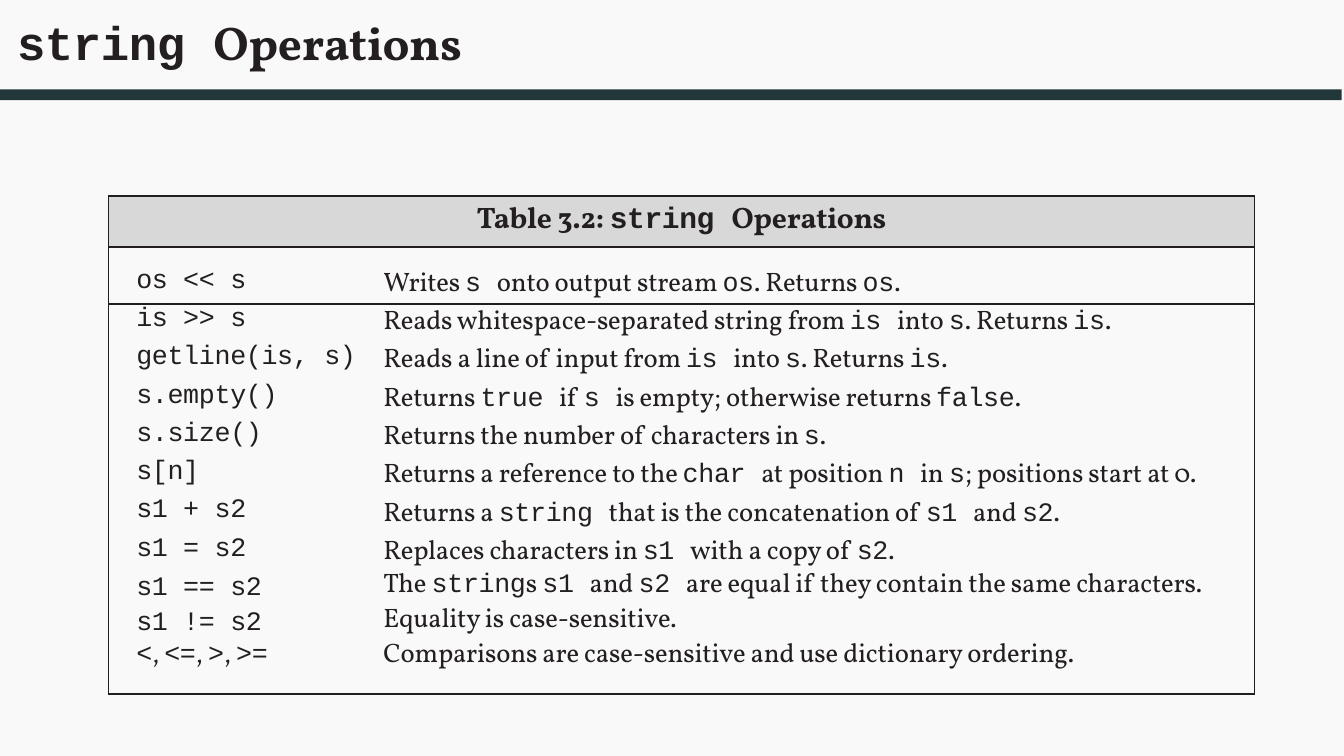
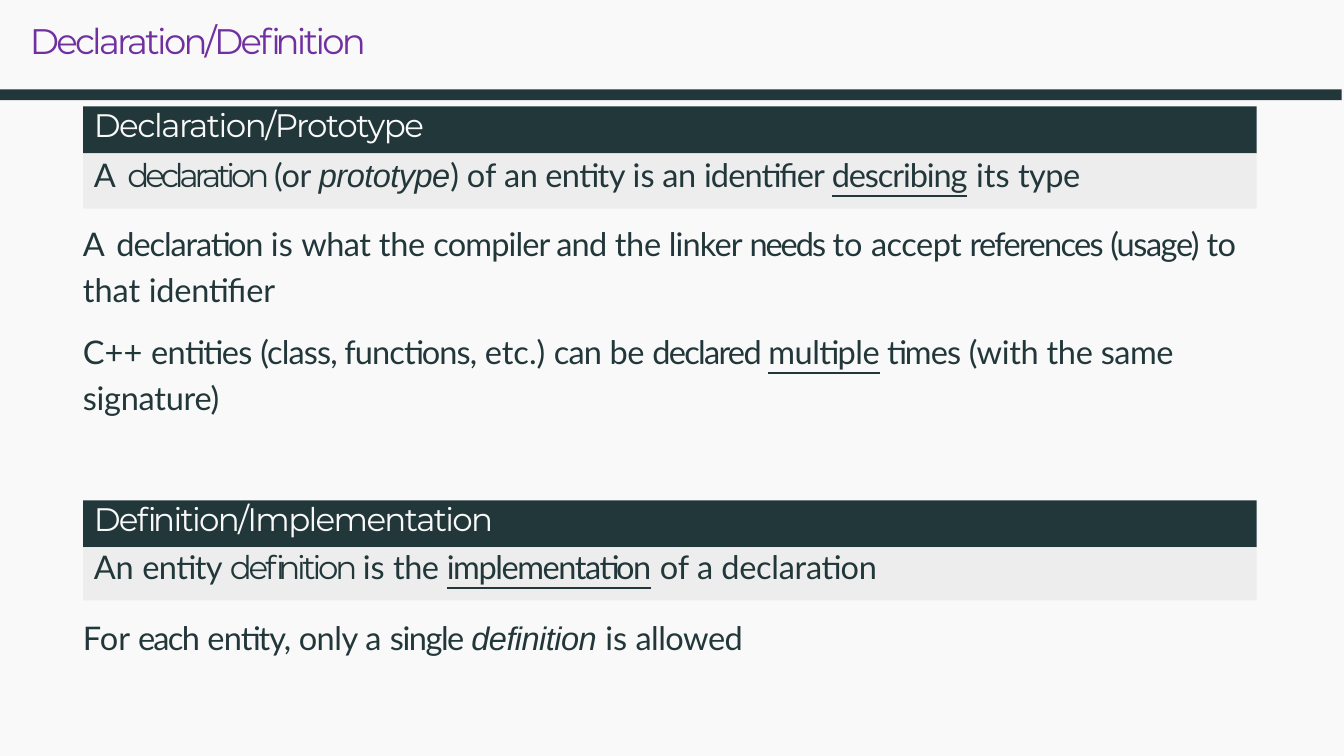
from lxml.etree import SubElement
from pptx import Presentation
from pptx.dml.color import RGBColor
from pptx.enum.shapes import MSO_SHAPE as Shape
from pptx.enum.text import MSO_ANCHOR as Anchor, MSO_AUTO_SIZE as Fit, PP_ALIGN as Align
from pptx.oxml.ns import qn
from pptx.util import Inches, Pt

PAPER = RGBColor(0xF9, 0xF9, 0xF9)
DARK = RGBColor(0x22, 0x37, 0x3A)
PALE = RGBColor(0xED, 0xED, 0xED)
GREY = RGBColor(0xD8, 0xD8, 0xD8)
INK = RGBColor(0x23, 0x1F, 0x20)
PURPLE = RGBColor(0x70, 0x30, 0xA0)
RULE = "221E1F"

CODE, SERIF = "Courier New", "Vollkorn"
SANS, HEAD, SLANT = "Lato", "Montserrat", "Arial"

# Backticks enclose code
CAPTION = "Table 3.2: `string `Operations"
ROWS = [
    (0.27, "`os << s`", "Writes `s `onto output stream `os`. Returns `os`."),
    (0.18, "`is >> s`",
     "Reads whitespace-separated string from `is `into `s`. Returns `is`."),
    (0.18, "`getline(is, s)`", "Reads a line of input from `is `into `s`. Returns `is`."),
    (0.18, "`s.empty()`", "Returns `true `if `s `is empty; otherwise returns `false`."),
    (0.18, "`s.size()`", "Returns the number of characters in `s`."),
    (0.18, "`s[n]`",
     "Returns a reference to the `char `at position `n `in `s`; positions start at 0."),
    (0.18, "`s1 + s2`", "Returns a `string `that is the concatenation of `s1 `and `s2`."),
    (0.18, "`s1 = s2`", "Replaces characters in `s1 `with a copy of `s2`."),
    (0.17, "`s1 == s2`",
     "The `string`s `s1 `and `s2 `are equal if they contain the same characters."),
    (0.16, "`s1 != s2`", "Equality is case-sensitive."),
    (0.24, "`<`, `<=`, `>`, `>=`",
     "Comparisons are case-sensitive and use dictionary ordering."),
]
LEADS = {9: 10.6, 10: 10.2, 11: 10.7}

# Runs: text, letter spacing, optional style
DECLARE = [("A ", 0.7), ("declaration ", -1.4, "head"), ("(or ", -0.1),
           ("prototype", -0.2, "slant"), (") ", -0.2), ("of", 0),
           (" an entity ", -0.2), ("is", 0), (" an ", -0.2), ("identifier ", -0.3),
           ("describing", -0.4, "under"), (" ", -0.2), ("its ", 0), ("type", -0.2)]
USAGE = [("A ", 0.7), ("declaration ", -0.4), ("is ", 0), ("what ", -0.2),
         ("the ", -0.1), ("compiler and ", -0.3), ("the", -0.1), (" linker ", -0.3),
         ("needs ", -0.7), ("to ", 0), ("accept ", -0.2), ("references ", -0.6),
         ("(usage) ", -0.5), ("to ", -0.2), ("that ", 0), ("identifier", -0.1)]
TIMES = [("C++ ", 0), ("entities ", -0.2), ("(class, functions, ", -0.3),
         ("etc.) ", 0), ("can ", -0.3), ("be ", -0.2), ("declared ", -0.6),
         ("multiple", -0.2, "under"), (" times ", -0.3), ("(with the", -0.1),
         (" same ", -0.2), ("signature)", -0.1)]
DEFINE = [("An ", 0), ("entity ", -0.2), ("definition ", -1.1, "head"), ("is ", 0),
          ("the ", -0.2), ("implementation", -0.5, "under"), (" ", -0.1),
          ("of a", 0), (" declaration", -0.1)]
SINGLE = [("For ", 0), ("each", -0.6), (" entity, ", -0.3), ("only ", -0.2),
          ("a ", 0), ("single ", -0.5), ("definition ", -0.2, "slant"),
          ("is ", 0), ("allowed", -0.2)]


def add_run(para, text, face, size, color, gap=0, bold=False):
    """Add a run; gap is the letter spacing in points."""
    run = para.add_run()
    run.text = text
    font = run.font
    font.name, font.size, font.bold = face, Pt(size), bold
    font.color.rgb = color
    run._r.get_or_add_rPr().set("spc", str(round(gap * 100)))
    return font


def add_mixed(para, text, size, bold=False):
    """Add serif text in which backticks enclose code."""
    for i, part in enumerate(text.split("`")):
        if part:
            face, gap = (CODE, -0.1) if i % 2 else (SERIF, -0.05)
            add_run(para, part, face, size, INK, gap, bold)


def add_prose(para, runs):
    faces = {"head": HEAD, "slant": SLANT}
    for text, gap, *style in runs:
        kind = style[0] if style else None
        font = add_run(para, text, faces.get(kind, SANS), 11, DARK, gap)
        font.italic = kind == "slant"
        font.underline = kind == "under"


def set_frame(shape, left, top=0):
    """Prepare a text frame with the given insets; return its first paragraph."""
    frame = shape.text_frame
    frame.word_wrap = True
    frame.auto_size = Fit.NONE
    frame.vertical_anchor = Anchor.TOP
    frame.margin_left, frame.margin_top = Inches(left), Inches(top)
    frame.margin_right = frame.margin_bottom = 0
    para = frame.paragraphs[0]
    para.alignment = Align.LEFT
    return para


def add_bar(slide, x, y, w, h, color):
    bar = slide.shapes.add_shape(Shape.RECTANGLE, Inches(x), Inches(y),
                                 Inches(w), Inches(h))
    bar.shadow.inherit = False
    bar.fill.solid()
    bar.fill.fore_color.rgb = color
    bar.line.fill.background()
    return bar


def add_slide(deck, x, y, w, h, top):
    """Add a slide with its band; return it and the title's paragraph."""
    slide = deck.slides.add_slide(deck.slide_layouts[5])
    add_bar(slide, 0, 0.42, 6.3, 0.05, DARK)
    title = slide.shapes.title
    title.left, title.top = Inches(x), Inches(y)
    title.width, title.height = Inches(w), Inches(h)
    return slide, set_frame(title, 0.01, top)


def add_block(slide, y, name, gap, runs, h, top):
    """Add a dark heading bar with a pale statement bar below it."""
    para = set_frame(add_bar(slide, 0.39, y, 5.51, 0.22, DARK), 0.05)
    para.line_spacing = Pt(12.7)
    add_run(para, name, HEAD, 11, PAPER, gap)
    body = add_bar(slide, 0.39, y + 0.22, 5.51, h, PALE)
    add_prose(set_frame(body, 0.05, top), runs)


def add_text(slide, y, w, h, paras, lead=None):
    box = slide.shapes.add_textbox(Inches(0.38), Inches(y), Inches(w), Inches(h))
    para = set_frame(box, 0.01, 0.01)
    for i, runs in enumerate(paras):
        if i:
            para = box.text_frame.add_paragraph()
            para.space_before = Pt(5.5)
        para.line_spacing = lead
        add_prose(para, runs)


def set_cell(cell, sides, left=0, top=0, color=None):
    """Set insets, ruled sides (letters of LRTB) and fill."""
    cell.margin_left, cell.margin_top = Inches(left), Inches(top)
    cell.margin_right = cell.margin_bottom = 0
    props = cell._tc.get_or_add_tcPr()
    for side in "LRTB":
        line = SubElement(props, qn("a:ln" + side))
        if side in sides:
            line.set("w", str(Pt(0.75 if side in "TB" else 0.5)))
            fill = SubElement(line, qn("a:solidFill"))
            SubElement(fill, qn("a:srgbClr")).set("val", RULE)
        else:
            SubElement(line, qn("a:noFill"))
    if color is None:
        cell.fill.background()
    else:
        cell.fill.solid()
        cell.fill.fore_color.rgb = color


def add_ops(slide):
    """Add the table of operations."""
    table = slide.shapes.add_table(len(ROWS) + 1, 2, Inches(0.51), Inches(0.92),
                                   Inches(5.38), Inches(2.34)).table
    table.first_row = table.horz_banding = False
    for col, width in zip(table.columns, (1.21, 4.17)):
        col.width = Inches(width)

    table.rows[0].height = Inches(0.24)
    head = table.cell(0, 0)
    head.merge(table.cell(0, 1))
    set_cell(head, "LRTB", top=0.02, color=GREY)
    set_cell(table.cell(0, 1), "RTB", color=GREY)
    para = head.text_frame.paragraphs[0]
    para.alignment = Align.CENTER
    add_mixed(para, CAPTION, 10, True)

    for r, (height, *texts) in enumerate(ROWS, 1):
        table.rows[r].height = Inches(height)
        rules = ("T" if r < 3 else "") + ("B" if r in (1, len(ROWS)) else "")
        for c, text in enumerate(texts):
            cell = table.cell(r, c)
            set_cell(cell, "LR"[c] + rules, (0.13, 0.08)[c], 0.09 if r == 1 else 0)
            para = cell.text_frame.paragraphs[0]
            if r in LEADS:
                para.line_spacing = Pt(LEADS[r])
            add_mixed(para, text, 9)


def main():
    deck = Presentation()
    deck.slide_width, deck.slide_height = Inches(6.31), Inches(3.55)
    back = deck.slide_master.background.fill
    back.solid()
    back.fore_color.rgb = PAPER

    slide, title = add_slide(deck, 0.07, 0, 5.36, 0.33, 0.06)
    add_mixed(title, "`string `Operations", 16, True)
    add_ops(slide)

    slide, title = add_slide(deck, 0.13, 0.08, 3.87, 0.22, 0.01)
    add_run(title, "Declaration/Definition", HEAD, 12, PURPLE, -0.9)
    add_block(slide, 0.5, "Declaration/Prototype", -0.5, DECLARE, 0.26, 0.01)
    add_text(slide, 1.01, 5.54, 0.97, [USAGE, TIMES], 1.18)
    add_block(slide, 2.35, "Definition/Implementation", -0.6, DEFINE, 0.25, 0)
    add_text(slide, 2.89, 3.14, 0.21, [SINGLE])

    deck.save("out.pptx")


if __name__ == "__main__":
    main()
